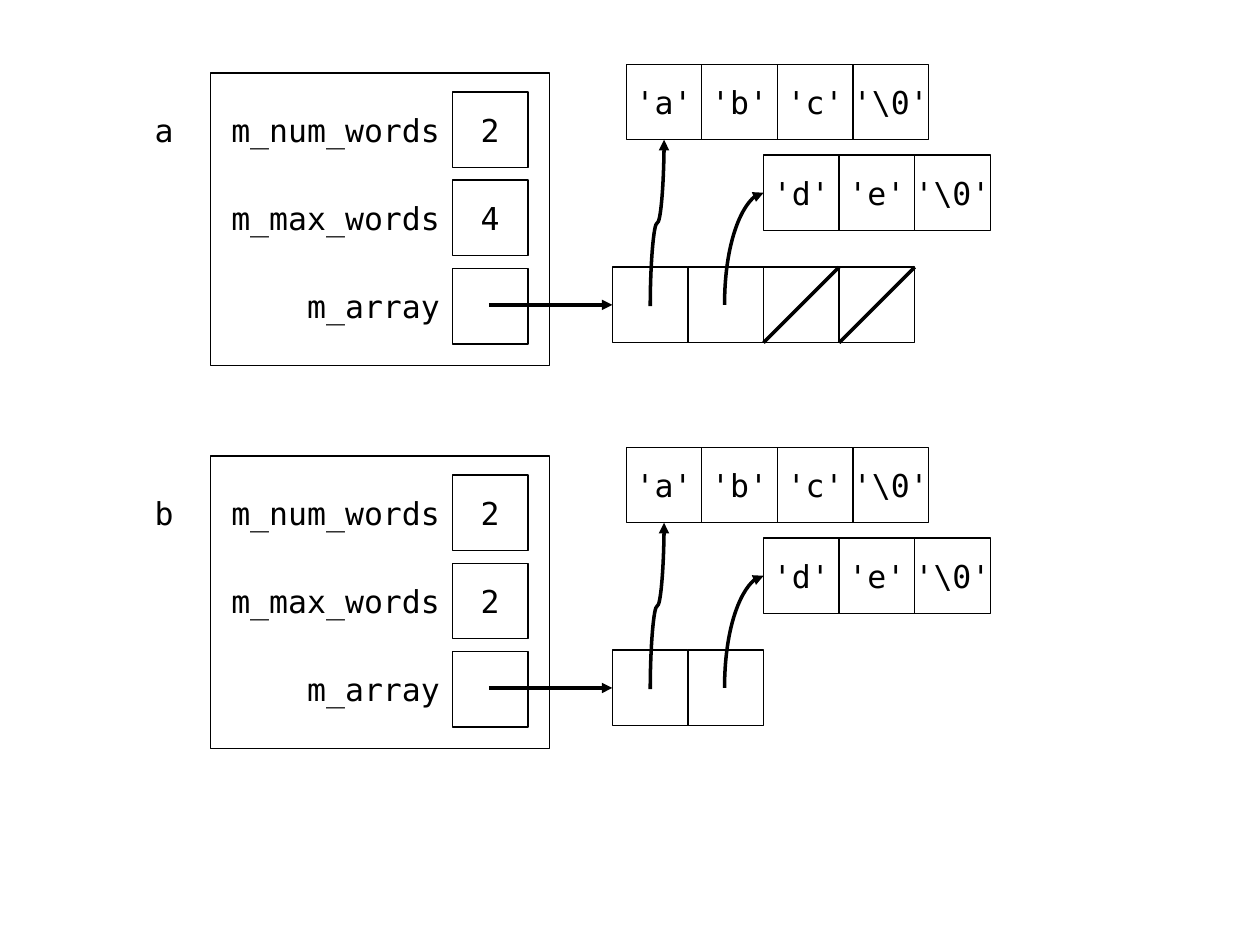
from dataclasses import dataclass

from lxml import etree
from pptx import Presentation
from pptx.dml.color import RGBColor
from pptx.enum import shapes, text
from pptx.oxml.ns import qn
from pptx.util import Inches, Pt

COLORS = {"ink": "000000"}
INK = RGBColor.from_string(COLORS["ink"])
FONT = {"name": "DejaVu Sans Mono", "size": Pt(18)}
CELL = 0.6
FIELD_STEP = 0.7
FIELDS = ("m_num_words", "m_max_words", "m_array")
ABC = ("'a'", "'b'", "'c'", "'\\0'")
DE = ("'d'", "'e'", "'\\0'")


@dataclass
class WordList:
    name: str
    top: float
    values: tuple[str, str, str]
    capacity: int
    used: int = 2


def write(shape, content: str, alignment, frame_format: dict) -> None:
    frame = shape.text_frame
    for attribute, value in frame_format.items():
        setattr(frame, attribute, value)
    paragraph = frame.paragraphs[0]
    paragraph.alignment = alignment
    run = paragraph.add_run()
    run.text = content
    for attribute, value in FONT.items():
        setattr(run.font, attribute, value)
    run.font.color.rgb = INK


def add_box(slide, left: float, top: float, width: float = CELL,
            height: float = CELL, content: str = ""):
    box = slide.shapes.add_shape(shapes.MSO_SHAPE.RECTANGLE, Inches(left),
                                 Inches(top), Inches(width), Inches(height))
    box.shadow.inherit = False
    box.fill.background()
    box.line.color.rgb = INK
    box.line.width = Pt(0.75)
    if content:
        write(box, content, text.PP_ALIGN.CENTER, {
            "margin_left": 0, "margin_right": 0, "word_wrap": False,
            "vertical_anchor": text.MSO_ANCHOR.MIDDLE})
    return box


def add_row(slide, left: float, top: float, contents) -> list:
    return [add_box(slide, left + i * CELL, top, content=content)
            for i, content in enumerate(contents)]


def add_label(slide, left: float, top: float, width: float, content: str,
              alignment=text.PP_ALIGN.LEFT) -> None:
    label = slide.shapes.add_textbox(Inches(left), Inches(top),
                                     Inches(width), Inches(0.4))
    write(label, content, alignment, {
        "word_wrap": False,
        "auto_size": text.MSO_AUTO_SIZE.SHAPE_TO_FIT_TEXT})


def add_line(slide, start: tuple[float, float], end: tuple[float, float],
             kind=shapes.MSO_CONNECTOR.STRAIGHT, arrow: bool = True):
    line = slide.shapes.add_connector(kind, *map(Inches, (*start, *end)))
    line.line.color.rgb = INK
    line.line.width = Pt(2)
    properties = line._element.spPr
    if arrow:
        etree.SubElement(properties.find(qn("a:ln")), qn("a:tailEnd"),
                         type="triangle")
    etree.SubElement(properties, qn("a:effectLst"))
    return line


def add_rising_curve(slide, start: tuple[float, float],
                     end: tuple[float, float], preset: str) -> None:
    """Draw a curve that leaves upwards: a flipped connector turned by 90°."""
    center_x, center_y = (start[0] + end[0]) / 2, (start[1] + end[1]) / 2
    half_width, half_height = (start[1] - end[1]) / 2, (end[0] - start[0]) / 2
    curve = add_line(slide, (center_x + half_width, center_y + half_height),
                     (center_x - half_width, center_y - half_height),
                     shapes.MSO_CONNECTOR.CURVE)
    properties = curve._element.spPr
    properties.find(qn("a:xfrm")).set("rot", str(90 * 60000))
    properties.find(qn("a:prstGeom")).set("prst", preset)


def draw_word_list(slide, words: WordList) -> None:
    top = words.top
    add_box(slide, 1.67, top, 2.69, 2.32)
    add_label(slide, 1.13, top + 0.25, 0.36, words.name)
    for i, (field, value) in enumerate(zip(FIELDS, words.values)):
        offset = top + i * FIELD_STEP
        add_label(slide, 1.73, offset + 0.25, 1.86, field,
                  text.PP_ALIGN.RIGHT)
        add_box(slide, 3.59, offset + 0.15, content=value)

    array_left, array_top = 4.86, top + 1.54
    array = add_row(slide, array_left, array_top, [""] * words.capacity)
    add_row(slide, 4.97, top - 0.07, ABC)
    add_row(slide, 6.06, top + 0.65, DE)

    middle = array_top + CELL / 2
    pointer = add_line(slide, (3.88, middle), (array_left, middle))
    pointer.end_connect(array[0], 1)
    add_rising_curve(slide, (5.16, middle + 0.01), (5.27, top + 0.53),
                     "curvedConnector3")
    add_rising_curve(slide, (5.75, middle), (6.06, top + 0.95),
                     "curvedConnector2")
    for i in range(words.used, words.capacity):
        left = array_left + i * CELL
        add_line(slide, (left, array_top + CELL), (left + CELL, array_top),
                 arrow=False)


def main() -> None:
    presentation = Presentation()
    presentation.slide_width = Inches(10)
    presentation.slide_height = Inches(7.5)
    slide = presentation.slides.add_slide(presentation.slide_layouts[6])
    for words in (WordList("a", 0.58, ("2", "4", ""), capacity=4),
                  WordList("b", 3.62, ("2", "2", ""), capacity=2)):
        draw_word_list(slide, words)
    presentation.save("out.pptx")


if __name__ == "__main__":
    main()
